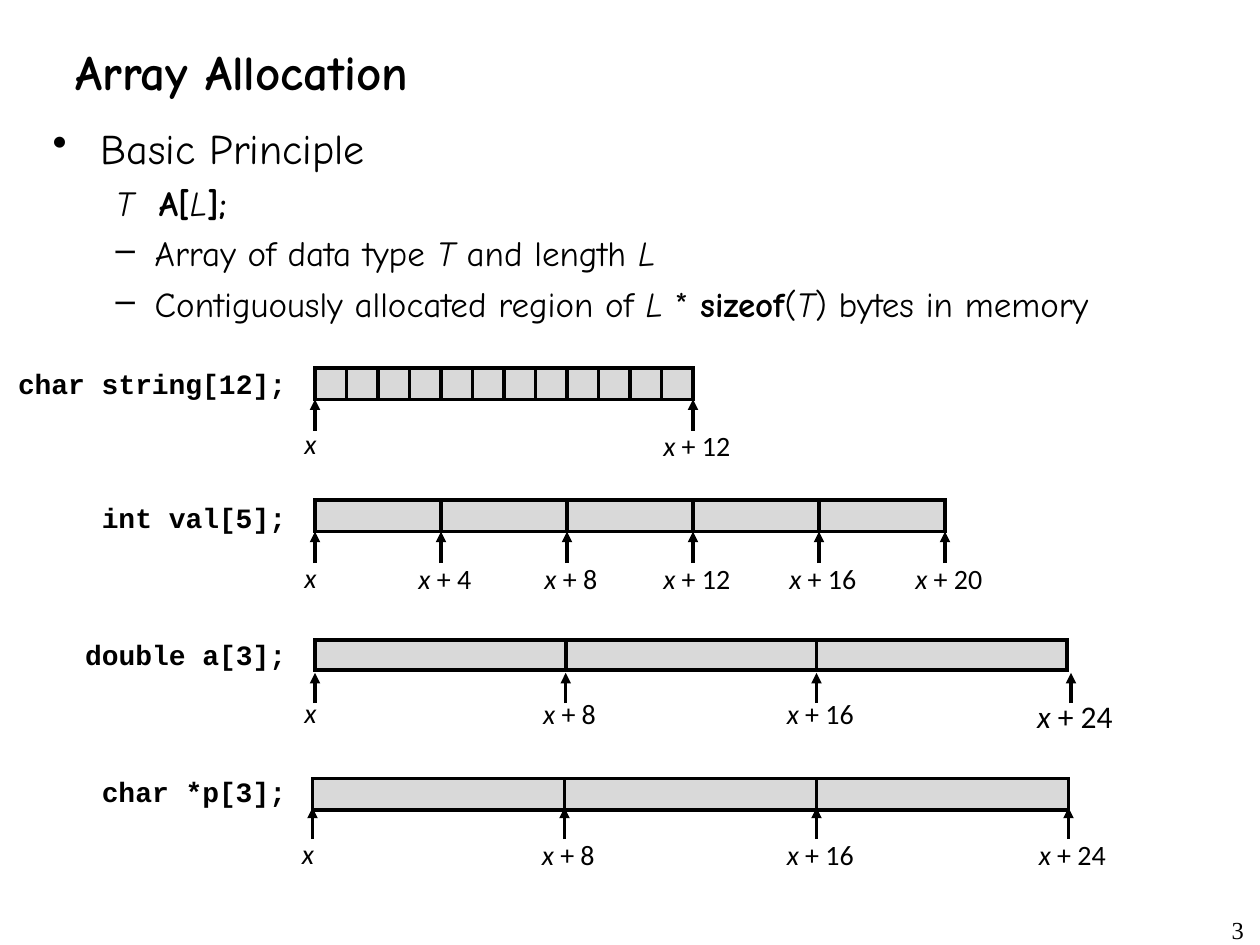
import pptx
import pptx.util
import pptx.dml.color
import pptx.enum.shapes
import pptx.enum.text
import pptx.oxml.ns
import lxml.etree

PX = 9144  # EMU per px, 100 px to the inch
COLORS = {"ink": "000000", "cell": "D9D9D9"}
INK = pptx.dml.color.RGBColor.from_string(COLORS["ink"])
CELL = pptx.dml.color.RGBColor.from_string(COLORS["cell"])
ALIGN = pptx.enum.text.PP_ALIGN
qn = pptx.oxml.ns.qn

deck = pptx.Presentation()
deck.slide_width = 1000 * PX
deck.slide_height = 750 * PX
slide = deck.slides.add_slide(deck.slide_layouts[6])


def add_runs(paragraph, runs, size, font):
    """Each run is (text, style), where style holds b and/or i."""
    for text, style in runs:
        run = paragraph.add_run()
        run.text = text
        run.font.size = pptx.util.Pt(size)
        run.font.name = font
        run.font.bold = "b" in style
        run.font.italic = "i" in style
        run.font.color.rgb = INK


def add_text(left, top, width, height, runs, size, font, align=ALIGN.LEFT, wrap=True):
    box = slide.shapes.add_textbox(left * PX, top * PX, width * PX, height * PX)
    box.text_frame.word_wrap = wrap
    paragraph = box.text_frame.paragraphs[0]
    paragraph.alignment = align
    add_runs(paragraph, runs, size, font)
    return box.text_frame


# Title
title = add_text(50, 25, 650, 63, [("Array Allocation", "b")], 28, "Comic Neue")
title.vertical_anchor = pptx.enum.text.MSO_ANCHOR.MIDDLE

# Basic principle: bullet, level, size, runs
principles = [
    ("•", 0, 24, [("Basic Principle", "")]),
    (None, 1, 20, [("T", "i"), ("  A[", "b"), ("L", "i"), ("];", "b")]),
    ("–", 1, 20, [("Array of data type ", ""), ("T", "i"),
                  (" and length ", ""), ("L", "i")]),
    ("–", 1, 20, [("Contiguously allocated region of ", ""), ("L", "i"), (" * ", ""),
                  ("sizeof", "b"), ("(", ""), ("T", "i"), (") bytes in memory", "")]),
]
indents = [(38, -38), (81, -31)]
body = add_text(32, 92, 943, 177, [], 24, "Comic Neue")
for index, (bullet, level, size, runs) in enumerate(principles):
    paragraph = body.add_paragraph() if index else body.paragraphs[0]
    paragraph.level = level
    margin, hanging = indents[level]
    properties = paragraph._p.get_or_add_pPr()
    properties.set("marL", str(margin * PX))
    properties.set("indent", str(hanging * PX))
    if bullet:
        lxml.etree.SubElement(properties, qn("a:buChar")).set("char", bullet)
    else:
        lxml.etree.SubElement(properties, qn("a:buNone"))
    if index:
        paragraph.space_before = pptx.util.Pt(5)
    add_runs(paragraph, runs, size, "Comic Neue")

# Arrays: declaration, its left and top, bar left and top, cell width and height,
# cell count, bytes per cell, cells between marks, arrow tip, label top,
# size of the last label, shift of the last arrow
arrays = [
    ("char string[12];", 3, 286, 250, 292, 25, 25, 12, 1, 12, 317, 335, 16, 0),
    ("int val[5];", 70, 392, 250, 397, 100, 25, 5, 4, 1, 422, 441, 16, 0),
    ("double a[3];", 56, 501, 250, 508, 199, 24, 3, 8, 1, 534, 548, 18, 3),
    ("char *p[3];", 70, 610, 248, 618, 200, 25, 3, 8, 1, 641, 660, 16, 0),
]
for (declaration, code_left, code_top, bar_left, bar_top, cell_width, cell_height,
     count, cell_bytes, mark_step, tip, label_top, last_size, last_shift) in arrays:
    add_text(code_left, code_top, 237 - code_left, 37, [(declaration, "b")],
             16, "Courier New", ALIGN.RIGHT, wrap=False)

    # Memory cells
    for index in range(count):
        cell = slide.shapes.add_shape(
            pptx.enum.shapes.MSO_SHAPE.RECTANGLE,
            (bar_left + index * cell_width) * PX, bar_top * PX,
            cell_width * PX, cell_height * PX)
        cell.shadow.inherit = False
        cell.fill.solid()
        cell.fill.fore_color.rgb = CELL
        cell.line.color.rgb = INK
        cell.line.width = pptx.util.Pt(2)
        lxml.etree.SubElement(cell.line._get_or_add_ln(), qn("a:miter")).set("lim", "800000")

    # Address arrows and labels
    for mark in range(0, count + 1, mark_step):
        is_last = mark == count
        x = bar_left + mark * cell_width + (last_shift if is_last else 0)
        arrow = slide.shapes.add_connector(
            pptx.enum.shapes.MSO_CONNECTOR.STRAIGHT,
            x * PX, (tip + cell_height) * PX, x * PX, tip * PX)
        arrow.line.color.rgb = INK
        arrow.line.width = pptx.util.Pt(2)
        lxml.etree.SubElement(arrow.line._get_or_add_ln(), qn("a:tailEnd")).set("type", "triangle")
        lxml.etree.SubElement(arrow._element.spPr, qn("a:effectLst"))

        if mark:
            add_text(x - 51, label_top, 108, 37,
                     [("x ", "i"), (f"+ {mark * cell_bytes}", "")],
                     last_size if is_last else 16, "Calibri", ALIGN.CENTER)
        else:
            add_text(x - 25, label_top - 1, 43, 37, [("x", "i")],
                     16, "Calibri", ALIGN.CENTER)

# Page number
add_text(943, 721, 54, 25, [("3", "")], 14, "Times New Roman", ALIGN.RIGHT)

deck.save("out.pptx")
